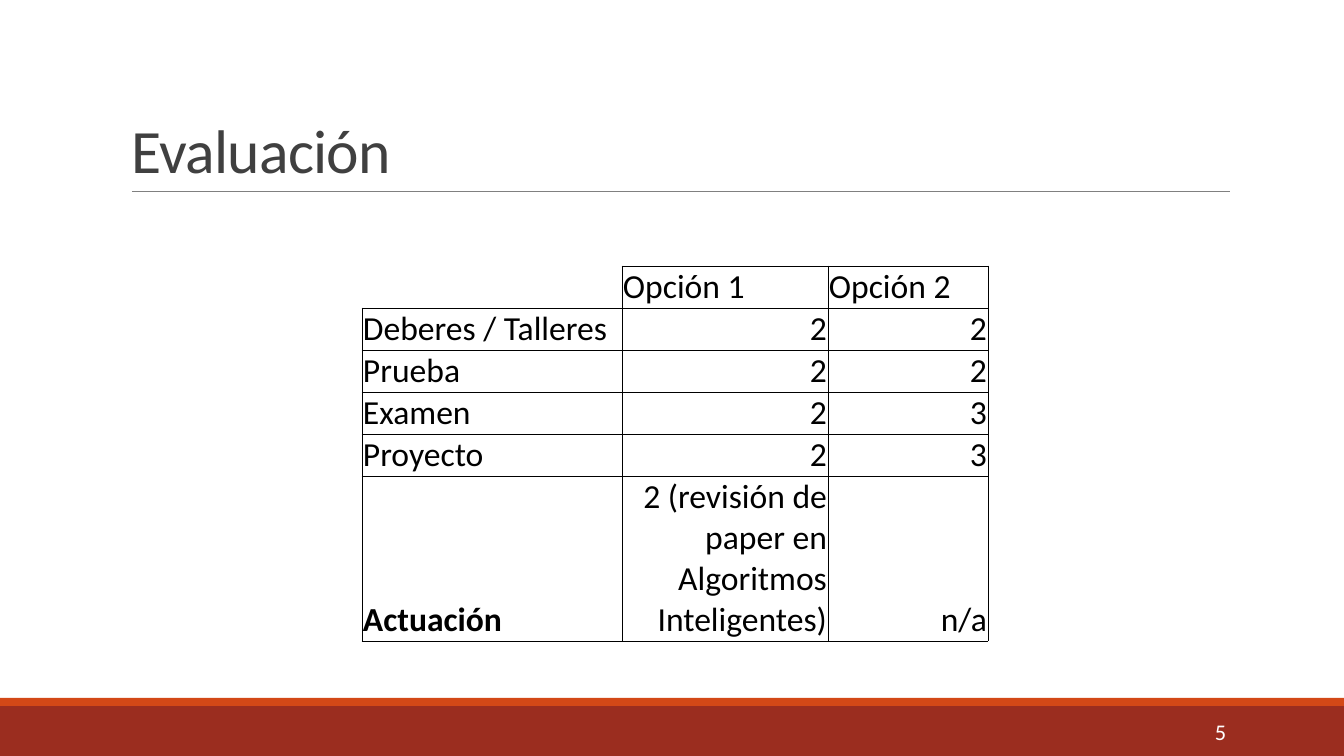
from dataclasses import dataclass

from lxml.etree import SubElement
from pptx import Presentation
from pptx.dml.color import RGBColor
from pptx.enum.shapes import MSO_CONNECTOR, MSO_SHAPE
from pptx.enum.text import MSO_ANCHOR, PP_ALIGN
from pptx.oxml.ns import qn
from pptx.util import Emu, Pt

SCALE = 914400 / 100.8


@dataclass(frozen=True)
class Theme:
    """Colours, font and type sizes of the slide."""
    font: str = "Calibri"
    band: str = "9B2D1F"
    strip: str = "D34817"
    rule: str = "808080"
    title: str = "404040"
    ink: str = "000000"
    paper: str = "FFFFFF"
    head: int = 44
    body: int = 24
    page: int = 16
    line: float = 0.5


theme = Theme()


def px(*vals):
    """Turn pixels into a list of EMU lengths."""
    return [Emu(round(val * SCALE)) for val in vals]


def style(para, size, color, align=PP_ALIGN.LEFT):
    """Set the font and alignment of a paragraph."""
    para.alignment = align
    para.font.name = theme.font
    para.font.size = Pt(size)
    para.font.color.rgb = RGBColor.from_string(color)


deck = Presentation()
deck.slide_width, deck.slide_height = px(1344, 756)
slide = deck.slides.add_slide(deck.slide_layouts[5])
shapes = slide.shapes

# Footer bands
for top, height, color in [(706, 50, theme.band), (698, 8, theme.strip)]:
    band = shapes.add_shape(MSO_SHAPE.RECTANGLE, *px(0, top, 1344, height))
    band.shadow.inherit = False
    band.fill.solid()
    band.fill.fore_color.rgb = RGBColor.from_string(color)
    band.line.fill.background()

# Title and its rule
rule = shapes.add_connector(MSO_CONNECTOR.STRAIGHT, *px(132, 191, 1230, 191))
rule.line.color.rgb = RGBColor.from_string(theme.rule)
rule.line.width = Pt(theme.line)
SubElement(rule._element.spPr, qn("a:effectLst"))

title = shapes.title
title.left, title.top, title.width, title.height = px(121, 31, 1109, 160)
title.text = "Evaluación"
title.text_frame.vertical_anchor = MSO_ANCHOR.BOTTOM
para = title.text_frame.paragraphs[0]
style(para, theme.head, theme.title)
para.line_spacing = 0.85
para.runs[0].font._element.set("spc", "-50")

# Page number
page = shapes.add_textbox(*px(1092, 712, 144, 40)).text_frame
page.word_wrap = True
page.vertical_anchor = MSO_ANCHOR.MIDDLE
page.text = "5"
style(page.paragraphs[0], theme.page, theme.paper, PP_ALIGN.RIGHT)

# Grading table
grades = [
    ("", "Opción 1", "Opción 2"),
    ("Deberes / Talleres", "2", "2"),
    ("Prueba", "2", "2"),
    ("Examen", "2", "3"),
    ("Proyecto", "2", "3"),
    ("Actuación", "2 (revisión de paper en Algoritmos Inteligentes)", "n/a"),
]
widths = px(260, 206, 160)
heights = px(*[42] * 5, 165)
table = shapes.add_table(len(grades), len(widths), *px(362, 266, 626, 375)).table
table.first_row = table.horz_banding = False
for col, width in zip(table.columns, widths):
    col.width = width
for row, height in zip(table.rows, heights):
    row.height = height

for r, texts in enumerate(grades):
    for c, text in enumerate(texts):
        cell = table.cell(r, c)
        cell.text = text
        cell.vertical_anchor = MSO_ANCHOR.BOTTOM
        cell.margin_left, cell.margin_right, cell.margin_top = px(1, 1, 1)
        cell.margin_bottom = 0
        align = PP_ALIGN.RIGHT if r and c else PP_ALIGN.LEFT
        para = cell.text_frame.paragraphs[0]
        style(para, theme.body, theme.ink, align)
        para.font.bold = text == "Actuación"
        props = cell._tc.get_or_add_tcPr()
        for side in "LRTB":
            edge = SubElement(props, qn("a:ln" + side), w=str(Pt(theme.line)))
            if r == c == 0 and side in "LT":
                SubElement(edge, qn("a:noFill"))
            else:
                fill = SubElement(edge, qn("a:solidFill"))
                SubElement(fill, qn("a:srgbClr"), val=theme.ink)
        cell.fill.background()

deck.save("out.pptx")
